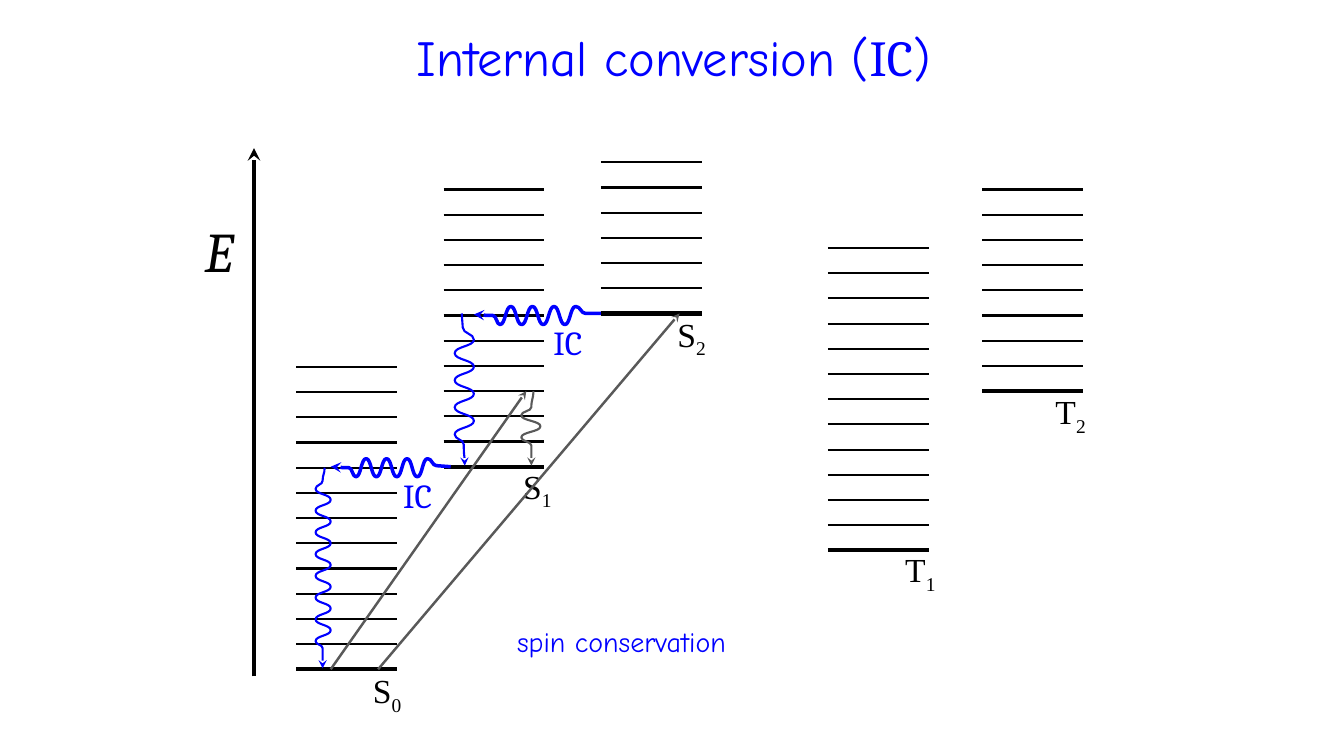
import pptx
import pptx.dml.color
import pptx.enum.shapes
import pptx.enum.text
import pptx.oxml
import pptx.oxml.ns
import pptx.util

Inches = pptx.util.Inches

THEME = {
    "colors": {"ink": "000000", "accent": "0000FF", "absorption": "595959"},
    "fonts": {"hand": "Comic Neue", "math": "Cambria", "state": "Times New Roman"},
    "sizes": {"title": 36, "axis": 40, "label": 24, "note": 20},
    "lines": {"ground": 3, "level": 1.5, "absorption": 1.75,
              "relaxation": 1.5, "conversion": 2.5},
}

LEVEL_GAP = 0.25
LEVEL_WIDTH = 1

STATES = [
    ("S", "0", 2.94, 6.64, 13, (3.6, 6.6, 0.5, 0.51)),
    ("S", "1", 4.4, 4.63, 12, (5.09, 4.57, 0.5, 0.51)),
    ("S", "2", 5.96, 3.11, 7, (6.62, 3.06, 0.5, 0.51)),
    ("T", "1", 8.21, 5.46, 13, (8.88, 5.4, 0.52, 0.5)),
    ("T", "2", 9.74, 3.88, 9, (10.37, 3.83, 0.52, 0.51)),
]

ENERGY_AXIS = ((2.52, 6.71), (2.52, 1.47))
ABSORPTIONS = [((3.28, 6.64), (5.22, 3.88)), ((3.75, 6.64), (6.74, 3.11))]

WAVES = [
    {"kind": "relaxation", "color": "absorption", "vertical": True,
     "lead": [(3.88, 5.29), (4.04, 5.27)], "peaks": (4.12, 4.34, 3),
     "swing": (5.17, 5.36), "finish": [(4.42, 5.27), (4.62, 5.27)]},
    {"kind": "conversion", "color": "accent", "vertical": False,
     "lead": [(5.96, 3.11), (5.81, 3.11)], "peaks": (5.71, 4.96, 8),
     "swing": (3.04, 3.22), "finish": [(4.89, 3.13), (4.7, 3.12)]},
    {"kind": "relaxation", "color": "accent", "vertical": True,
     "lead": [(3.11, 4.58), (3.25, 4.59)], "peaks": (3.37, 4.31, 8),
     "swing": (4.7, 4.51), "finish": [(4.41, 4.6), (4.62, 4.61)]},
    {"kind": "conversion", "color": "accent", "vertical": False,
     "lead": [(4.47, 4.63), (4.33, 4.62)], "peaks": (4.24, 3.53, 8),
     "swing": (4.55, 4.73), "finish": [(3.46, 4.64), (3.28, 4.63)]},
    {"kind": "relaxation", "color": "accent", "vertical": True,
     "lead": [(4.64, 3.22), (4.77, 3.2)], "peaks": (4.85, 6.36, 15),
     "swing": (3.13, 3.28), "finish": [(6.43, 3.2), (6.63, 3.2)]},
]

TITLE = [("Internal conversion (", "hand"), ("IC", "math"), (")", "hand")]
TITLE_BOX = (1.94, 0.21, 9.48, 0.71)
AXIS_BOX = (1.93, 2.1, 0.52, 0.77)
CONVERSION_BOXES = [(5.39, 3.14, 0.5, 0.51), (3.9, 4.66, 0.5, 0.5)]
NOTE_BOX = (5.03, 6.15, 2.45, 0.44)


def rgb(color):
    return pptx.dml.color.RGBColor.from_string(THEME["colors"][color])


def style_line(shape, color, weight, arrow):
    shape.line.color.rgb = rgb(color)
    shape.line.width = pptx.util.Pt(THEME["lines"][weight])
    if arrow:
        outline = shape._element.spPr.find(pptx.oxml.ns.qn("a:ln"))
        outline.append(pptx.oxml.parse_xml(
            f'<a:tailEnd {pptx.oxml.ns.nsdecls("a")} type="stealth"/>'))


def add_line(slide, start, end, color, weight, arrow=False):
    connector = slide.shapes.add_connector(
        pptx.enum.shapes.MSO_CONNECTOR.STRAIGHT,
        *(Inches(value) for value in (*start, *end)))
    style_line(connector, color, weight, arrow)
    connector._element.spPr.append(pptx.oxml.parse_xml(
        f'<a:effectLst {pptx.oxml.ns.nsdecls("a")}/>'))


def add_text(slide, box, runs, size, color="ink", centered=False, italic=False):
    frame = slide.shapes.add_textbox(*(Inches(value) for value in box)).text_frame
    frame.word_wrap = centered
    frame.auto_size = pptx.enum.text.MSO_AUTO_SIZE.SHAPE_TO_FIT_TEXT
    paragraph = frame.paragraphs[0]
    if centered:
        paragraph.alignment = pptx.enum.text.PP_ALIGN.CENTER
    for text, font in runs:
        run = paragraph.add_run()
        run.text = text
        run.font.name = THEME["fonts"][font]
        run.font.size = pptx.util.Pt(THEME["sizes"][size])
        run.font.color.rgb = rgb(color)
        if italic:
            run.font.italic = True
    return paragraph


def wave_knots(wave):
    first, last, count = wave["peaks"]
    step = (last - first) / (count - 1)
    peaks = [(first + i * step, wave["swing"][i % 2]) for i in range(count)]
    knots = wave["lead"] + peaks + wave["finish"]
    return [(across, along) if wave["vertical"] else (along, across)
            for along, across in knots]


def add_wave(slide, wave):
    knots = [(Inches(x), Inches(y)) for x, y in wave_knots(wave)]
    builder = slide.shapes.build_freeform(*knots[0])
    builder.add_line_segments(knots[1:], close=False)
    curve = builder.convert_to_shape()
    curve.shadow.inherit = False
    curve.fill.background()
    style_line(curve, wave["color"], wave["kind"], True)
    bend_segments(curve, wave["vertical"])


def bend_segments(curve, vertical):
    points = list(curve._element.iter(pptx.oxml.ns.qn("a:pt")))
    places = [(int(point.get("x")), int(point.get("y"))) for point in points]
    for point, (x0, y0), (x1, y1) in zip(points[1:], places, places[1:]):
        middle_x, middle_y = (x0 + x1) // 2, (y0 + y1) // 2
        if vertical:
            controls = [(x0, middle_y), (x1, middle_y)]
        else:
            controls = [(middle_x, y0), (middle_x, y1)]
        dots = "".join(f'<a:pt x="{x}" y="{y}"/>' for x, y in controls + [(x1, y1)])
        segment = point.getparent()
        segment.getparent().replace(segment, pptx.oxml.parse_xml(
            f'<a:cubicBezTo {pptx.oxml.ns.nsdecls("a")}>{dots}</a:cubicBezTo>'))


def main():
    deck = pptx.Presentation()
    deck.slide_width, deck.slide_height = Inches(13.33), Inches(7.5)
    slide = deck.slides.add_slide(deck.slide_layouts[6])

    add_text(slide, TITLE_BOX, TITLE, "title", "accent", centered=True)
    add_line(slide, *ENERGY_AXIS, "ink", "ground", arrow=True)
    add_text(slide, AXIS_BOX, [("E", "math")], "axis", italic=True)

    for name, number, left, ground, count, box in STATES:
        for i in range(count):
            y = ground - i * LEVEL_GAP
            add_line(slide, (left, y), (left + LEVEL_WIDTH, y), "ink",
                     "level" if i else "ground")
        label = add_text(slide, box, [(name, "state"), (number, "state")], "label")
        label.runs[1].font._element.set("baseline", "-25000")

    for start, end in ABSORPTIONS:
        add_line(slide, start, end, "absorption", "absorption", arrow=True)
    for wave in WAVES:
        add_wave(slide, wave)
    for box in CONVERSION_BOXES:
        add_text(slide, box, [("IC", "math")], "label", "accent")
    add_text(slide, NOTE_BOX, [("spin conservation", "hand")], "note", "accent")

    deck.save("out.pptx")


if __name__ == "__main__":
    main()
